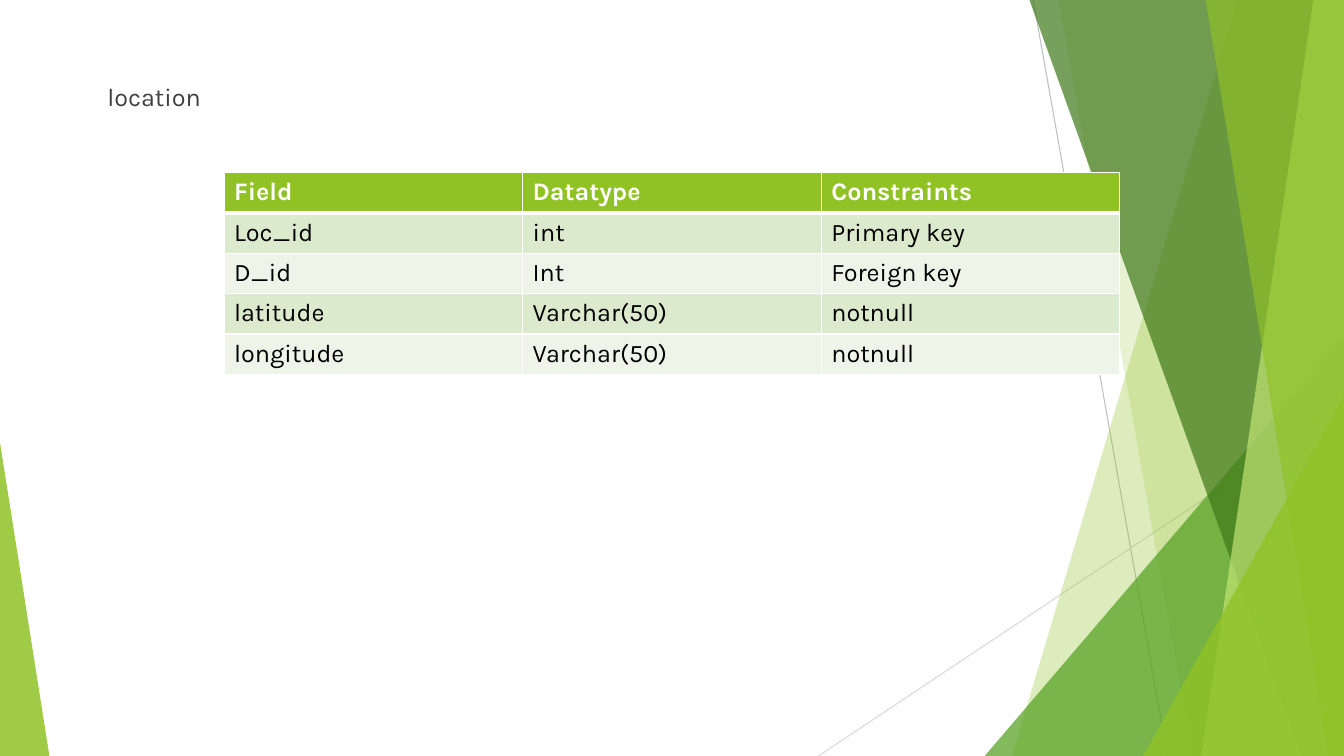
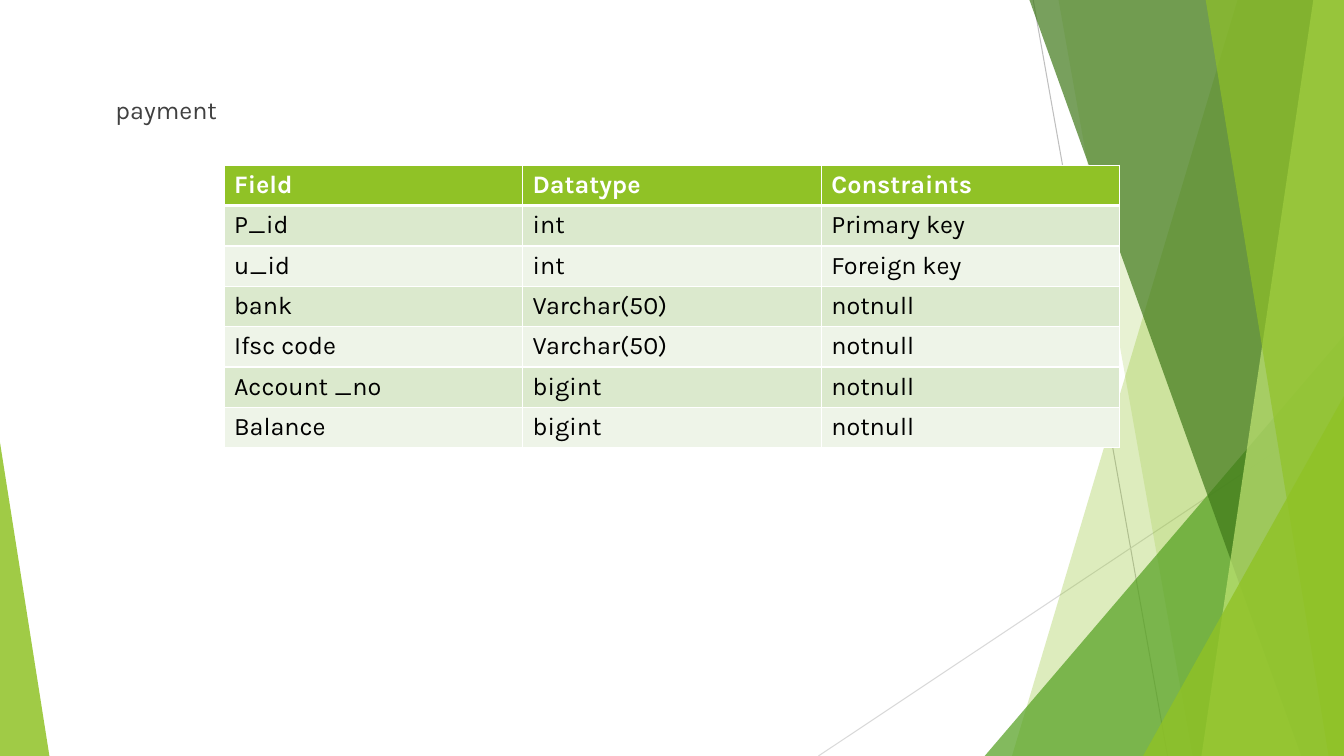
from dataclasses import dataclass

from lxml import etree
from pptx import Presentation
from pptx.dml.color import RGBColor
from pptx.enum import shapes, text
from pptx.oxml import ns
from pptx.util import Pt


@dataclass(frozen=True)
class Theme:
    font: str = "Karla"
    size: float = 18
    lime: str = "90C226"
    green: str = "54A021"
    forest: str = "3F7819"
    pale_lime: str = "C0E474"
    rule_dark: str = "BFBFBF"
    rule_light: str = "D9D9D9"
    heading: str = "404040"
    body: str = "000000"
    white: str = "FFFFFF"
    row_odd: str = "DBE9CD"
    row_even: str = "EEF4E8"
    rule_width: float = 0.75
    border: float = 1
    header_border: float = 3


@dataclass(frozen=True)
class Box:
    left: float
    top: float
    width: float
    height: float

    @property
    def right(self):
        return self.left + self.width

    @property
    def bottom(self):
        return self.top + self.height

    def points(self):
        return [Pt(v) for v in (self.left, self.top, self.width, self.height)]


THEME = Theme()
PAGE = Box(0, 0, 960, 540)
BLEED = 0.7
ROW_HEIGHT = 28.35
HEADERS = ("Field", "Datatype", "Constraints")


def sub(parent, tag, **attributes):
    return etree.SubElement(parent, ns.qn(tag), attributes)


def paint(shape, color, opacity):
    """Flat, borderless, partly transparent fill; opacity in percent."""
    shape.shadow.inherit = False
    shape.line.fill.background()
    shape.fill.solid()
    shape.fill.fore_color.rgb = RGBColor.from_string(color)
    clr = shape.fill._xPr.find(ns.qn("a:solidFill"))[0]
    sub(clr, "a:alpha", val=str(opacity * 1000))


def add_rule(slide, start, end, color):
    rule = slide.shapes.add_connector(
        shapes.MSO_CONNECTOR.STRAIGHT, *(Pt(v) for v in start + end))
    rule.line.color.rgb = RGBColor.from_string(color)
    rule.line.width = Pt(THEME.rule_width)
    sub(rule._element.spPr, "a:effectLst")


def add_band(slide, box, top_x, bottom_x, color, opacity):
    """Slanted band that reaches from its left edge to the right of the box."""
    top = box.top - BLEED
    corners = [(box.left + top_x, top), (box.right, top),
               (box.right, box.bottom), (box.left + bottom_x, box.bottom)]
    corners = [(Pt(x), Pt(y)) for x, y in corners]
    builder = slide.shapes.build_freeform(*corners[0])
    builder.add_line_segments(corners[1:], close=True)
    paint(builder.convert_to_shape(), color, opacity)


def add_wedge(slide, box, width, height, apex, color, opacity):
    """Right triangle in a bottom corner: apex 0 is left, 1 is right."""
    left = box.right - width if apex else box.left
    wedge = slide.shapes.add_shape(
        shapes.MSO_SHAPE.ISOSCELES_TRIANGLE,
        *Box(left, box.bottom - height, width, height).points())
    wedge.adjustments[0] = apex
    paint(wedge, color, opacity)


def add_backdrop(slide, box):
    x, y = box.left, box.top
    add_rule(slide, (x + 738, y), (x + 834, box.bottom), THEME.rule_dark)
    add_rule(slide, (box.right, y + 290), (x + 584.6, box.bottom), THEME.rule_light)
    add_band(slide, box, 884.2, 722.9, THEME.lime, 30)
    add_band(slide, box, 756, 851.8, THEME.lime, 20)
    add_wedge(slide, box, 256.6, 300.2, 1, THEME.green, 72)
    add_band(slide, box, 735.1, 929.5, THEME.forest, 70)
    add_band(slide, box, 938.2, 858.2, THEME.pale_lime, 70)
    add_band(slide, box, 861.1, 949, THEME.lime, 65)
    add_wedge(slide, box, 143.5, 257, 1, THEME.lime, 80)
    add_wedge(slide, box, 35.3, 223.9, 0, THEME.lime, 85)


def write(frame, words, color, bold=False):
    run = frame.paragraphs[0].add_run()
    run.text = words
    run.font.name = THEME.font
    run.font.size = Pt(THEME.size)
    run.font.bold = bold
    run.font.color.rgb = RGBColor.from_string(color)


def add_heading(slide, box, words):
    frame = slide.shapes.add_textbox(*box.points()).text_frame
    frame.word_wrap = True
    frame.vertical_anchor = text.MSO_ANCHOR.TOP
    frame.margin_left = Pt(10.5)
    write(frame, words, THEME.heading)


def set_borders(cell, top, bottom):
    properties = cell._tc.get_or_add_tcPr()
    widths = {"L": THEME.border, "R": THEME.border, "T": top, "B": bottom}
    for side, width in widths.items():
        line = sub(properties, f"a:ln{side}", w=str(Pt(width)))
        sub(sub(line, "a:solidFill"), "a:srgbClr", val=THEME.white)


def add_field_table(slide, box, fields):
    rows = [HEADERS, *fields]
    table = slide.shapes.add_table(len(rows), len(HEADERS), *box.points()).table
    table.horz_banding = False
    for column in table.columns:
        column.width = Pt(box.width / len(HEADERS))
    for r, values in enumerate(rows):
        table.rows[r].height = Pt(box.height / len(rows))
        header = r == 0
        fill = THEME.lime if header else THEME.row_odd if r % 2 else THEME.row_even
        top = THEME.header_border if r == 1 else THEME.border
        bottom = THEME.header_border if header else THEME.border
        for c, value in enumerate(values):
            cell = table.cell(r, c)
            set_borders(cell, top, bottom)
            cell.fill.solid()
            cell.fill.fore_color.rgb = RGBColor.from_string(fill)
            write(cell.text_frame, value, THEME.white if header else THEME.body, header)


def add_entity_slide(deck, name, heading_box, table_top, fields):
    slide = deck.slides.add_slide(deck.slide_layouts[6])
    add_backdrop(slide, PAGE)
    add_heading(slide, heading_box, name)
    table_box = Box(160, table_top, 640, ROW_HEIGHT * (len(fields) + 1))
    add_field_table(slide, table_box, fields)


def main():
    deck = Presentation()
    deck.slide_width, deck.slide_height = Pt(PAGE.width), Pt(PAGE.height)
    add_entity_slide(deck, "location", Box(66.2, 54.7, 828, 432), 123.2, [
        ("Loc_id", "int", "Primary key"),
        ("D_id", "Int", "Foreign key"),
        ("latitude", "Varchar(50)", "notnull"),
        ("longitude", "Varchar(50)", "notnull"),
    ])
    add_entity_slide(deck, "payment", Box(72, 64.1, 815, 392.4), 118, [
        ("P_id", "int", "Primary key"),
        ("u_id", "int", "Foreign key"),
        ("bank", "Varchar(50)", "notnull"),
        ("Ifsc code", "Varchar(50)", "notnull"),
        ("Account _no", "bigint", "notnull"),
        ("Balance", "bigint", "notnull"),
    ])
    deck.save("out.pptx")


if __name__ == "__main__":
    main()
